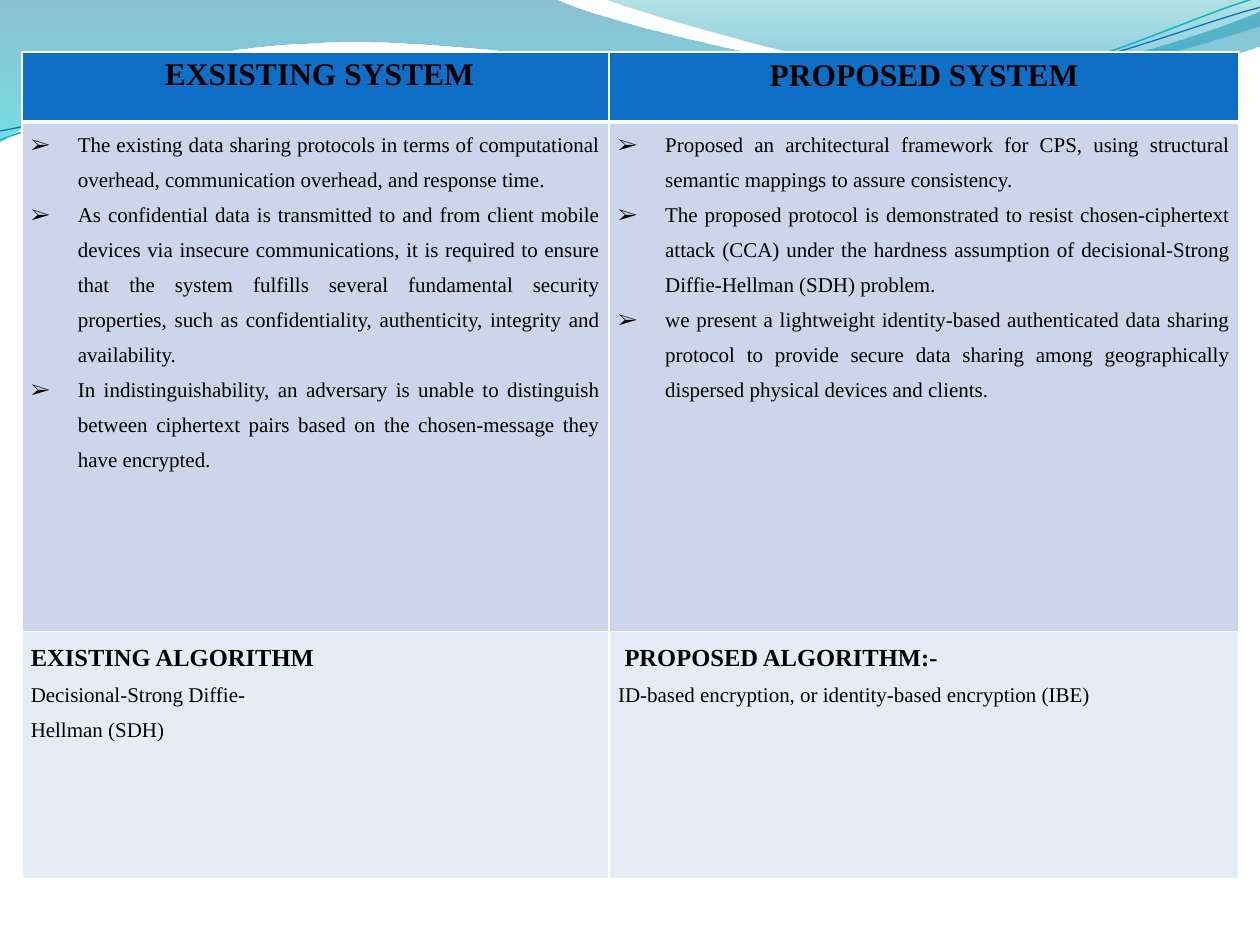
from math import cos, radians, sin

from lxml import etree
from pptx import Presentation
from pptx.dml.color import RGBColor
from pptx.enum.text import PP_ALIGN
from pptx.oxml import parse_xml
from pptx.oxml.ns import nsdecls, qn
from pptx.util import Cm, Pt

CENTER, JUSTIFY = PP_ALIGN.CENTER, PP_ALIGN.JUSTIFY

THEME = {
    "font": "Times New Roman", "text": "000000", "border": "FFFFFF",
    "header": "0F6FC6", "body": "CCD5EA", "algorithm": "E7EBF5",
    "header_pt": 18, "title_pt": 14, "body_pt": 12,
}

# Content
HEADERS = ["EXSISTING SYSTEM", "PROPOSED SYSTEM"]
POINTS = [
    ["The existing data sharing protocols in terms of computational overhead, "
     "communication overhead, and response time.",
     "As confidential data is transmitted to and from client mobile devices via insecure "
     "communications, it is required to ensure that the system fulfills several fundamental "
     "security properties, such as confidentiality, authenticity, integrity and availability.",
     "In indistinguishability, an adversary is unable to distinguish between ciphertext pairs "
     "based on the chosen-message they have encrypted."],
    ["Proposed an architectural framework for CPS, using structural semantic mappings to "
     "assure consistency.",
     "The proposed protocol is demonstrated to resist chosen-ciphertext attack (CCA) under the "
     "hardness assumption of decisional-Strong Diffie-Hellman (SDH) problem.",
     "we present a lightweight identity-based authenticated data sharing protocol to provide "
     "secure data sharing among geographically dispersed physical devices and clients."],
]
ALGORITHMS = [
    ("EXISTING ALGORITHM", ["Decisional-Strong Diffie-", "Hellman (SDH)"], 0),
    ("PROPOSED ALGORITHM:-", ["ID-based encryption, or identity-based encryption (IBE)"], 0.13),
]
COLS = [11.84, 12.7]
ROWS = [1.41, 10.27, 4.98]

# Wave outlines in cm: 2 numbers draw a straight line, 6 a Bezier curve
WAVES = [
    {"start": (0, 0), "stops": [(0, "0074A1", 45), (100, "00C6CF", 55)],
     "steps": [(11.18, -0.03), (12.09, 0.43, 16.87, 1.6, 19.25, 1.6),
               (21.67, 1.6, 24.33, 0.66, 25.4, 0.23), (25.43, 0.91),
               (24.97, 1.12, 22.1, 1.93, 18.95, 1.91), (15.8, 1.91, 9.7, 0.71, 6.53, 0.86),
               (3.28, 0.91, 1.17, 2.11, -0.03, 2.87), (0, 0)]},
    {"start": (12.17, -0.03), "stops": [(0, "00A1A9", 30), (80, "008BBF", 45)],
     "steps": [(12.93, 0.28, 17.32, 1.57, 19.53, 1.65),
               (21.74, 1.75, 24.41, 0.81, 25.4, 0.53), (25.4, 0), (12.17, -0.03)]},
    {"start": (0, 2.82), "line": ("0AB8BF", 0.85), "tilt": -2.7, "pivot": (12.67, 1.46),
     "steps": [(1.22, 2.36, 4.01, 1.45, 7.04, 1.32), (10.03, 1.19, 15.06, 2.26, 18.11, 2.03),
               (21.16, 1.8, 23.83, 0.38, 25.35, -0.05)]},
    {"start": (0, 2.64), "line": ("0F6FC6", 0.75), "tilt": -2.7, "pivot": (12.69, 1.5),
     "steps": [(1.19, 2.44, 4.17, 1.55, 7.19, 1.42), (10.24, 1.3, 15.16, 2.13, 18.21, 1.91),
               (21.23, 1.7, 23.9, 0.53, 25.4, 0.15)]},
]


def turn(point, pivot, degrees):
    a = radians(degrees)
    dx, dy = point[0] - pivot[0], point[1] - pivot[1]
    return pivot[0] + dx * cos(a) - dy * sin(a), pivot[1] + dx * sin(a) + dy * cos(a)


def add_wave(shapes, start, steps, stops=None, line=None, tilt=0, pivot=(0, 0)):
    pts = [start] + [step[i:i + 2] for step in steps for i in range(0, len(step), 2)]
    pts = [turn(pt, pivot, -tilt) for pt in pts]
    fb = shapes.build_freeform(*(v * 1000 for v in pts[0]), scale=Cm(1) / 1000)
    fb.add_line_segments([(x * 1000, y * 1000) for x, y in pts[1:]], close=bool(stops))
    s = fb.convert_to_shape()
    s.shadow.inherit = False
    s.rotation = tilt % 360

    # Join each three vertices of a curved step into one Bezier segment
    vertices = iter(list(s.element.iter(qn("a:lnTo"))))
    for step in steps:
        nodes = [next(vertices) for _ in range(len(step) // 2)]
        if len(nodes) == 3:
            curve = etree.Element(qn("a:cubicBezTo"))
            nodes[0].addprevious(curve)
            for node in nodes:
                curve.append(node[0])
                node.getparent().remove(node)

    if line:
        s.fill.background()
        s.line.color.rgb = RGBColor.from_string(line[0])
        s.line.width = Pt(line[1])
        return
    s.line.fill.background()
    gs = "".join(f'<a:gs pos="{pos * 1000}"><a:srgbClr val="{c}">'
                 f'<a:alpha val="{alpha * 1000}"/></a:srgbClr></a:gs>'
                 for pos, c, alpha in stops)
    grad = parse_xml(f'<a:gradFill {nsdecls("a")}><a:gsLst>{gs}</a:gsLst>'
                     '<a:lin ang="5400000" scaled="0"/></a:gradFill>')
    s.element.spPr.find(qn("a:custGeom")).addnext(grad)


def add_text(tf, text, size, bold=False, align=JUSTIFY, spacing=1.5, after=0,
             bullet=None, indent=0):
    p = tf.paragraphs[0] if not tf.text else tf.add_paragraph()
    pPr = p._p.get_or_add_pPr()
    pPr.set("marL", str(Cm(indent)))
    if bullet:
        pPr.set("indent", str(-Cm(indent)))
        etree.SubElement(pPr, qn("a:buFont"), typeface=THEME["font"])
        etree.SubElement(pPr, qn("a:buChar"), char=bullet)
    p.alignment, p.line_spacing, p.space_after = align, spacing, Pt(after)
    r = p.add_run()
    r.text = text
    r.font.name, r.font.size, r.font.bold = THEME["font"], Pt(size), bold
    r.font.color.rgb = RGBColor.from_string(THEME["text"])


def style_cell(cell, fill, side=0.18, top=0, top_pt=1, bottom_pt=1):
    cell.margin_left = cell.margin_right = Cm(side)
    cell.margin_top = cell.margin_bottom = Cm(top)
    tcPr = cell._tc.get_or_add_tcPr()
    for edge, pt in zip("LRTB", (1, 1, top_pt, bottom_pt)):
        ln = etree.SubElement(tcPr, qn(f"a:ln{edge}"), w=str(Pt(pt)))
        solid = etree.SubElement(ln, qn("a:solidFill"))
        etree.SubElement(solid, qn("a:srgbClr"), val=THEME["border"])
    cell.fill.solid()
    cell.fill.fore_color.rgb = RGBColor.from_string(fill)
    return cell.text_frame


prs = Presentation()
prs.slide_width, prs.slide_height = Cm(25.4), Cm(19.05)
slide = prs.slides.add_slide(prs.slide_layouts[6])

# Wave decoration
for wave in WAVES:
    add_wave(slide.shapes, **wave)

# Comparison table
table = slide.shapes.add_table(len(ROWS), len(COLS), Cm(0.44), Cm(1.05),
                               Cm(sum(COLS)), Cm(sum(ROWS))).table
table.first_row = table.horz_banding = False
for col, width in zip(table.columns, COLS):
    col.width = Cm(width)
for row, height in zip(table.rows, ROWS):
    row.height = Cm(height)

# Header row
header_formats = [({"side": 0.3}, {"spacing": 1.15, "after": 10, "indent": 0.16}),
                  ({"side": 0.25, "top": 0.13}, {"spacing": 1})]
for c, (text, (cell_fmt, text_fmt)) in enumerate(zip(HEADERS, header_formats)):
    tf = style_cell(table.cell(0, c), THEME["header"], bottom_pt=3, **cell_fmt)
    add_text(tf, text, THEME["header_pt"], bold=True, align=CENTER, **text_fmt)

# Bulleted points
for c, points in enumerate(POINTS):
    tf = style_cell(table.cell(1, c), THEME["body"], top_pt=3)
    for text in points:
        add_text(tf, text, THEME["body_pt"], bullet="➢", indent=0.95)

# Algorithms
for c, (title, lines, indent) in enumerate(ALGORITHMS):
    tf = style_cell(table.cell(2, c), THEME["algorithm"])
    add_text(tf, title, THEME["title_pt"], bold=True, indent=indent)
    for text in lines:
        add_text(tf, text, THEME["body_pt"])

prs.save("out.pptx")
